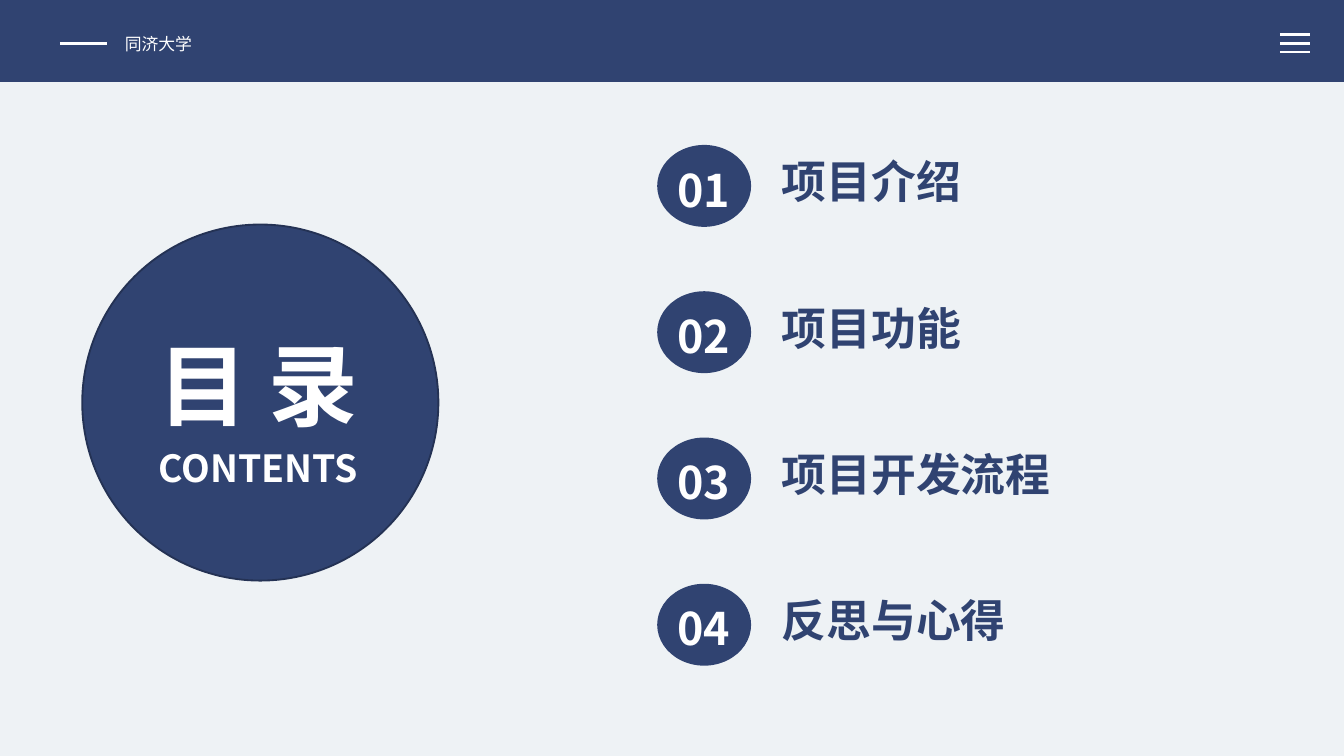
from collections import namedtuple

from lxml import etree
from pptx import Presentation
from pptx.dml.color import RGBColor
from pptx.enum.shapes import MSO_CONNECTOR, MSO_SHAPE
from pptx.enum.text import MSO_ANCHOR, MSO_AUTO_SIZE, PP_ALIGN
from pptx.oxml.ns import qn
from pptx.util import Inches, Pt

RECTANGLE, OVAL = MSO_SHAPE.RECTANGLE, MSO_SHAPE.OVAL
STRAIGHT = MSO_CONNECTOR.STRAIGHT
LEFT, CENTER, JUSTIFY = PP_ALIGN.LEFT, PP_ALIGN.CENTER, PP_ALIGN.JUSTIFY
MIDDLE = MSO_ANCHOR.MIDDLE
FIXED_SIZE = MSO_AUTO_SIZE.NONE

NAVY = RGBColor(0x30, 0x43, 0x71)
DARK_NAVY = RGBColor(0x24, 0x32, 0x54)
WHITE = RGBColor(0xFF, 0xFF, 0xFF)
PALE = RGBColor(0xEE, 0xF2, 0xF5)
FONT = "Noto Sans CJK SC"
TITLE_ONLY = 5
WIDTH = 10
HEIGHT = WIDTH * 9 / 16
TOPICS = ["项目介绍", "项目功能", "项目开发流程", "反思与心得"]

Box = namedtuple("Box", "left top width height")


def part(box, left, top, width, height):
    """Return the part of a box given in percent of its width and height."""
    return Box(
        box.left + box.width * left / 100,
        box.top + box.height * top / 100,
        box.width * width / 100,
        box.height * height / 100,
    )


def add_filled(shapes, kind, box, outline=None):
    """Draw a navy shape, outlined when a colour is given."""
    shape = shapes.add_shape(kind, *map(Inches, box))
    shape.shadow.inherit = False
    shape.fill.solid()
    shape.fill.fore_color.rgb = NAVY
    if outline is None:
        shape.line.fill.background()
    else:
        shape.line.color.rgb = outline
        shape.line.width = Pt(1)


def add_rule(shapes, box):
    """Draw a white horizontal line along the top of a box."""
    left, top, right = map(Inches, (box.left, box.top, box.left + box.width))
    rule = shapes.add_connector(STRAIGHT, left, top, right, top)
    rule.line.color.rgb = WHITE
    rule.line.width = Pt(1.5)
    etree.SubElement(rule._element.spPr, qn("a:effectLst"))


def write(shape, text, size, color, align, bold=True):
    """Put one formatted line of text into a shape."""
    frame = shape.text_frame
    frame.word_wrap = True
    frame.auto_size = FIXED_SIZE
    frame.vertical_anchor = MIDDLE
    frame.margin_left = frame.margin_right = Inches(0.1)
    frame.margin_top = frame.margin_bottom = 0
    para = frame.paragraphs[0]
    para.alignment = align
    span = para.add_run()
    span.text = text
    span.font.name = FONT
    span.font.size = Pt(size)
    span.font.bold = bold
    span.font.color.rgb = color
    east_asian = etree.SubElement(span.font._element, qn("a:ea"))
    east_asian.set("typeface", FONT)


def add_text(shapes, box, *style, **options):
    """Add a text box holding one formatted line."""
    write(shapes.add_textbox(*map(Inches, box)), *style, **options)


def add_header(page, box):
    """Draw the top band with the university name and the menu mark."""
    add_filled(page.shapes, RECTANGLE, box)
    add_rule(page.shapes, part(box, 4.45, 53, 3.5, 0))
    name_box = part(box, 8.3, 32.8, 11.8, 41)
    add_text(page.shapes, name_box, "同济大学", 9, WHITE, JUSTIFY, bold=False)
    menu = page.shapes.add_group_shape()
    for row in range(3):
        add_rule(menu.shapes, part(box, 95.23, 42 + 10.7 * row, 2.25, 0))


def add_title_disc(page, box):
    """Draw the large disc with the slide title and its subtitle."""
    add_filled(page.shapes, OVAL, box, DARK_NAVY)
    title = page.shapes.title
    page.shapes._spTree.append(title._element)
    title_box = part(box, 15.3, 27.5, 68.3, 34.3)
    title.left, title.top, title.width, title.height = map(Inches, title_box)
    write(title, "目 录", 48, WHITE, CENTER)
    subtitle_box = part(box, 11.5, 60, 75.8, 16.6)
    add_text(page.shapes, subtitle_box, "CONTENTS", 20, WHITE, CENTER)


def add_topic(shapes, box, number, topic):
    """Draw one numbered oval with its topic to the right."""
    add_filled(shapes, OVAL, part(box, 2, 0, 15.6, 100))
    add_text(shapes, part(box, 0, 13, 19.4, 82), f"{number:02}", 24, WHITE, CENTER)
    add_text(shapes, part(box, 20.5, 2.8, 79.5, 82), topic, 24, NAVY, LEFT)


def add_agenda(page, box):
    """Stack the topics in equal rows of a box."""
    group = page.shapes.add_group_shape()
    pitch = 100 / len(TOPICS)
    for row, topic in enumerate(TOPICS):
        row_box = part(box, 0, row * pitch, 100, pitch * 0.56)
        add_topic(group.shapes, row_box, row + 1, topic)


def main():
    """Build and save the contents slide."""
    deck = Presentation()
    deck.slide_width, deck.slide_height = Inches(WIDTH), Inches(HEIGHT)
    page = deck.slides.add_slide(deck.slide_layouts[TITLE_ONLY])
    page.background.fill.solid()
    page.background.fill.fore_color.rgb = PALE
    canvas = Box(0, 0, WIDTH, HEIGHT)
    add_header(page, part(canvas, 0, 0, 100, 10.85))
    add_title_disc(page, part(canvas, 6.12, 29.7, 26.5, 47.11))
    add_agenda(page, part(canvas, 48, 19.18, 44.8, 77.4))
    deck.save("out.pptx")


if __name__ == "__main__":
    main()
